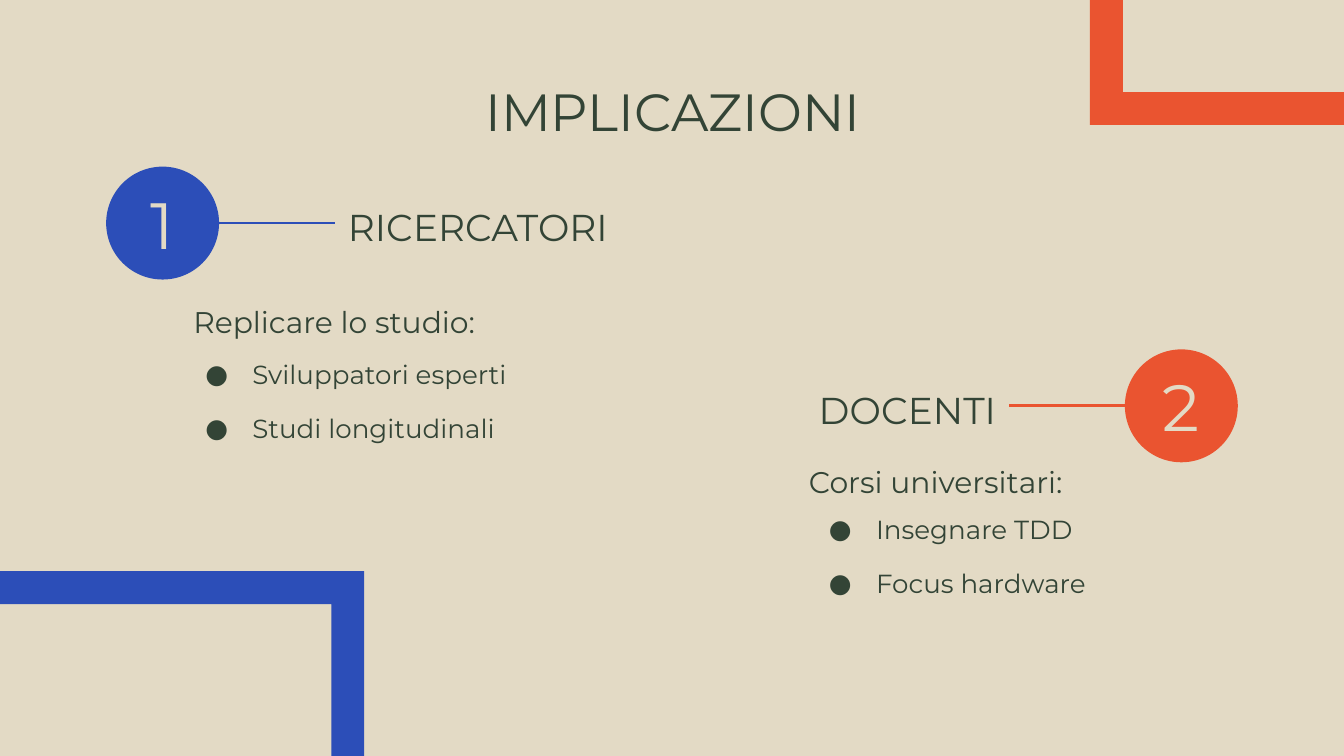
import pptx
import pptx.util
import pptx.dml.color
import pptx.enum.shapes
import pptx.enum.text
import pptx.oxml.ns
import lxml.etree

SAND, GREEN, BLUE, ORANGE = "E3DAC5", "334436", "2C4EB8", "EA5430"
SHAPE = pptx.enum.shapes.MSO_SHAPE
ALIGN = pptx.enum.text.PP_ALIGN
ANCHOR = pptx.enum.text.MSO_ANCHOR

deck = pptx.Presentation()
deck.slide_width = pptx.util.Inches(10)
deck.slide_height = deck.slide_width * 9 // 16
CELL = deck.slide_width // 100  # the grid has 100 columns of square cells

page = deck.slides.add_slide(deck.slide_layouts[5])


def paint(color_format, hex_color):
    """Apply a hex colour to a fill, line or font."""
    if hasattr(color_format, "solid"):
        color_format.solid()
        color_format = color_format.fore_color
    elif hasattr(color_format, "color"):
        color_format = color_format.color
    color_format.rgb = pptx.dml.color.RGBColor.from_string(hex_color)


def write(box, lines, size, color=GREEN, align=ALIGN.LEFT, anchor=ANCHOR.TOP, bullets=False):
    """Fill a shape with paragraphs of one style."""
    frame = box.text_frame
    frame.word_wrap = True
    frame.auto_size = pptx.enum.text.MSO_AUTO_SIZE.NONE
    frame.vertical_anchor = anchor
    frame.margin_left = frame.margin_right = frame.margin_top = frame.margin_bottom = CELL
    frame.text = "\n".join(lines)
    for index, para in enumerate(frame.paragraphs):
        para.alignment = align
        if index:
            para.space_before = pptx.util.Pt(12)
        if bullets:
            properties = para._p.get_or_add_pPr()
            properties.set("marL", str(5 * CELL))
            properties.set("indent", str(int(-3.5 * CELL)))
            for tag, name, value in [("a:buFont", "typeface", "Montserrat"),
                                     ("a:buChar", "char", "●")]:
                bullet = lxml.etree.SubElement(properties, pptx.oxml.ns.qn(tag))
                bullet.set(name, value)
        para.font.name = "Montserrat"
        para.font.size = pptx.util.Pt(size)
        paint(para.font, color)


# Background
paint(page.background.fill, SAND)

# Corner frames, bleeding off the page
for left, top, color in [(81.1, -34.5, ORANGE), (-13.7, 42.5, BLUE)]:
    corner = page.shapes.add_shape(
        SHAPE.FRAME, *[int(n * CELL) for n in (left, top, 40.8, 43.8)])
    corner.adjustments[0] = 0.06
    corner.shadow.inherit = False
    paint(corner.fill, color)
    corner.line.fill.background()

# Title
title = page.shapes.title
title.left, title.top, title.width, title.height = [
    int(n * CELL) for n in (7.9, 4.9, 84.3, 6.3)]
write(title, ["IMPLICAZIONI"], 28, align=ALIGN.CENTER)

# Sections: circle position, line ends, then text positions
DIAMETER = 8.4
sections = [
    dict(number="1", color=BLUE, circle=(7.9, 12.4), line=(16.3, 24.9),
         heading="RICERCATORI", heading_left=24.9, align=ALIGN.LEFT,
         intro="Replicare lo studio:", intro_at=(13.4, 21.6),
         items=["Sviluppatori esperti", "Studi longitudinali"], items_at=(12.8, 25.7)),
    dict(number="2", color=ORANGE, circle=(83.7, 26), line=(83.7, 75.1),
         heading="DOCENTI", heading_left=50, align=ALIGN.RIGHT,
         intro="Corsi universitari:", intro_at=(59.2, 33.5),
         items=["Insegnare TDD", "Focus hardware"], items_at=(59.2, 37.2)),
]
for section in sections:
    left, top = section["circle"]

    # Numbered circle
    circle = page.shapes.add_shape(
        SHAPE.OVAL, *[int(n * CELL) for n in (left, top, DIAMETER, DIAMETER)])
    circle.shadow.inherit = False
    paint(circle.fill, section["color"])
    circle.line.fill.background()
    write(circle, [section["number"]], 35, SAND, ALIGN.CENTER, ANCHOR.MIDDLE)

    # Line from circle to heading
    start, end = section["line"]
    middle = top + DIAMETER / 2
    link = page.shapes.add_connector(
        pptx.enum.shapes.MSO_CONNECTOR.STRAIGHT,
        *[int(n * CELL) for n in (start, middle, end, middle)])
    link.line.width = pptx.util.Pt(1.5)
    paint(link.line, section["color"])
    lxml.etree.SubElement(link._element.spPr, pptx.oxml.ns.qn("a:effectLst"))

    # Heading, introduction and bullet list
    for lines, place, extent, size, align, bullets in [
        ([section["heading"]], (section["heading_left"], top + 1.8), (25.1, 4.8),
         20, section["align"], False),
        ([section["intro"]], section["intro_at"], (45.8, 4.4), 16, ALIGN.LEFT, False),
        (section["items"], section["items_at"], (33.4, 9.6), 14, ALIGN.LEFT, True),
    ]:
        box = page.shapes.add_textbox(*[int(n * CELL) for n in place + extent])
        write(box, lines, size, align=align, bullets=bullets)

deck.save("out.pptx")
